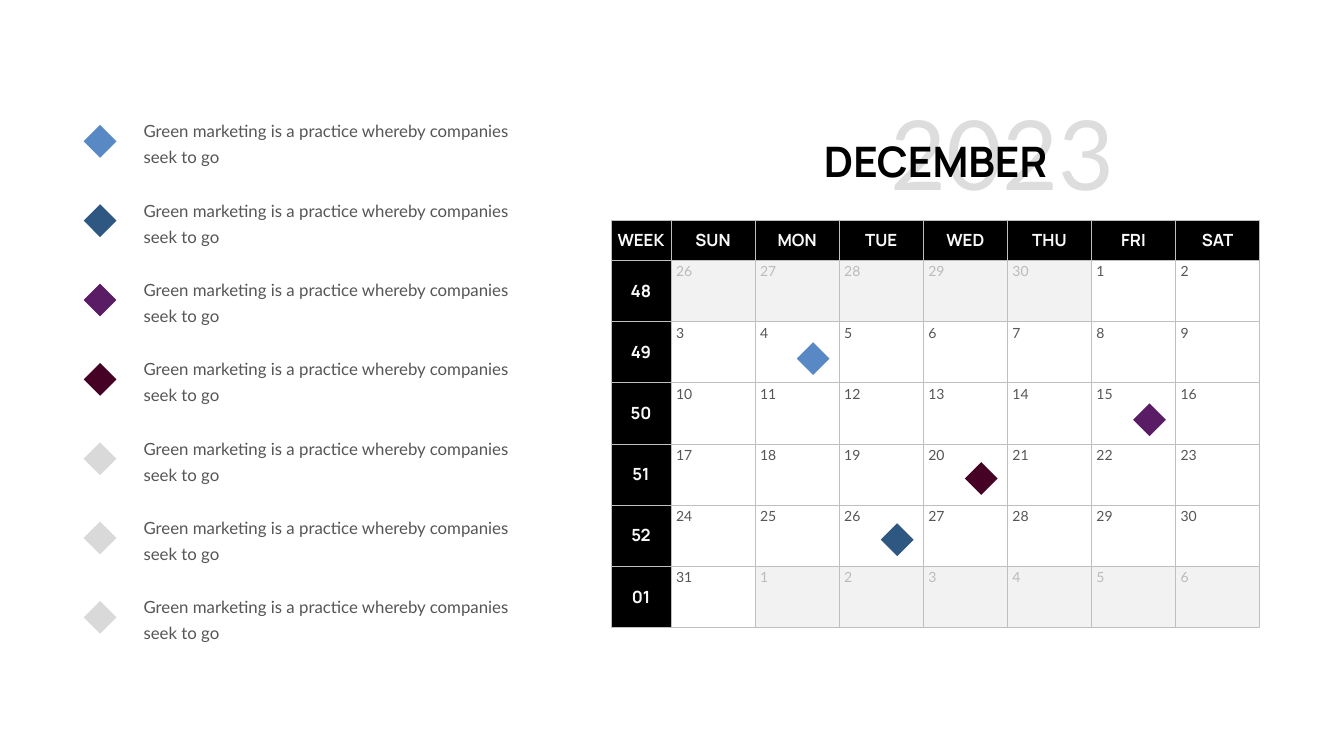
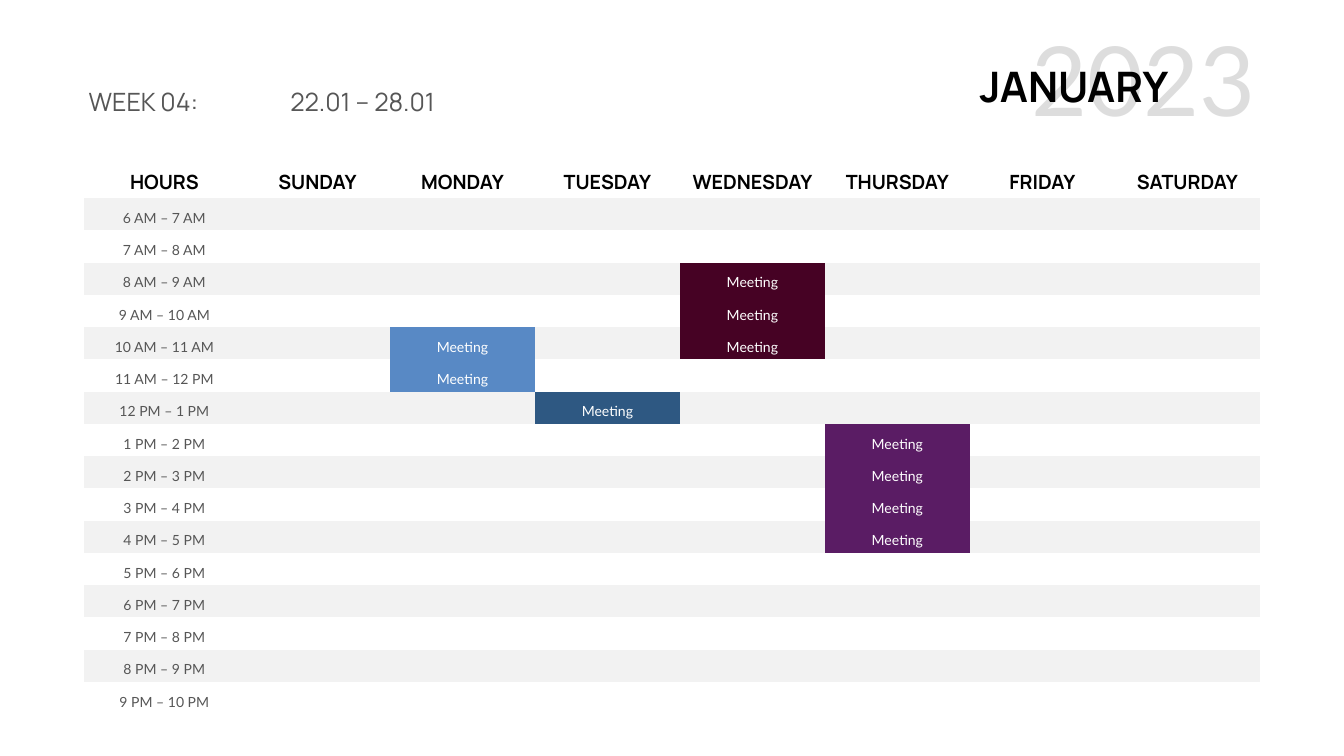
import dataclasses
import typing

import lxml.etree
import pptx
import pptx.dml.color
import pptx.enum.shapes
import pptx.enum.text
import pptx.oxml.ns
import pptx.util

Pt = pptx.util.Pt
Align = pptx.enum.text.PP_ALIGN
Anchor = pptx.enum.text.MSO_ANCHOR
qn = pptx.oxml.ns.qn

BLACK, WHITE, PALE = "000000", "FFFFFF", "F9F9F9"
GREY, FADED, BAND, RULE, SPARE = "565656", "BBBBBB", "F2F2F2", "BFBFBF", "D9D9D9"
BLUE, NAVY, PLUM, WINE = "5889C5", "2E5882", "5A1C64", "460224"
NO_STYLE = "{2D5ABB26-0587-4C30-8999-92F81FD0307C}"
LEFT, SIDE = 119.5, 46.8
LEADING = 37


@dataclasses.dataclass(frozen=True)
class Style:
    size: float
    color: str
    face: str = "Lato"
    bold: bool = False
    align: Align = Align.LEFT
    leading: float | None = None


@dataclasses.dataclass(frozen=True)
class Box:
    x: float
    y: float
    w: float
    h: float

    def points(self) -> tuple:
        return tuple(Pt(v) for v in (self.x, self.y, self.w, self.h))


@dataclasses.dataclass(frozen=True)
class Mark:
    col: int
    row: int
    drop: float
    color: str


@dataclasses.dataclass(frozen=True)
class Event:
    col: int
    row: int
    span: int
    color: str


YEAR = Style(138, GREY)
MONTH = Style(60, BLACK, "Manrope", True, Align.CENTER)
WEEK = Style(36, GREY, "Manrope")
LEGEND = Style(24, GREY, leading=LEADING)
HEAD = Style(24, PALE, "Manrope", True, Align.CENTER)
DAY = Style(20, GREY)
HOUR = Style(20, GREY, align=Align.CENTER, leading=LEADING)
COLUMN = Style(28, BLACK, "Manrope", True, Align.CENTER)

KEYS = [BLUE, NAVY, PLUM, WINE, SPARE, SPARE, SPARE]
MARKS = [
    Mark(2, 2, 29.4, BLUE),
    Mark(3, 5, 26, NAVY),
    Mark(6, 3, 29.4, PLUM),
    Mark(4, 4, 26, WINE),
]
EVENTS = [
    Event(2, 5, 2, BLUE),
    Event(3, 7, 1, NAVY),
    Event(4, 3, 3, WINE),
    Event(5, 8, 4, PLUM),
]


def rgb(color: str) -> pptx.dml.color.RGBColor:
    return pptx.dml.color.RGBColor.from_string(color)


def write(frame: typing.Any, text: str, style: Style) -> None:
    par = frame.paragraphs[0]
    par.text = text
    par.alignment = style.align
    if style.leading:
        par.line_spacing = Pt(style.leading)
    font = par.font
    font.size, font.name, font.bold = Pt(style.size), style.face, style.bold
    font.color.rgb = rgb(style.color)


def label(shapes: typing.Any, box: Box, text: str, style: Style,
          wrap: bool = False, anchor: Anchor = Anchor.TOP) -> typing.Any:
    frame = shapes.add_textbox(*box.points()).text_frame
    frame.word_wrap = wrap
    frame.auto_size = pptx.enum.text.MSO_AUTO_SIZE.SHAPE_TO_FIT_TEXT
    frame.vertical_anchor = anchor
    write(frame, text, style)
    return frame.paragraphs[0]


def diamond(shapes: typing.Any, x: float, y: float, color: str) -> None:
    kind = pptx.enum.shapes.MSO_SHAPE.DIAMOND
    shape = shapes.add_shape(kind, *Box(x, y, SIDE, SIDE).points())
    shape.shadow.inherit = False
    shape.fill.solid()
    shape.fill.fore_color.rgb = rgb(color)
    shape.line.fill.background()


def title(slide: typing.Any, month: str, box: Box, year: Box, align: Align) -> None:
    """Draw the month name over the large, see-through year."""
    par = label(slide.shapes, year, "2023", dataclasses.replace(YEAR, align=align))
    for tint in par._p.iter(qn("a:srgbClr")):
        lxml.etree.SubElement(tint, qn("a:alpha"), val="20000")
    label(slide.shapes, box, month, MONTH)


def grid(slide: typing.Any, box: Box, rows: int, first: float, top: float) -> typing.Any:
    """Add an unstyled table of 8 columns; first and top size its leading column and row."""
    table = slide.shapes.add_table(rows, 8, *box.points()).table
    table.first_row = table.horz_banding = False
    next(table._tbl.iter(qn("a:tableStyleId"))).text = NO_STYLE
    for i, col in enumerate(table.columns):
        col.width = Pt((box.w - first) / 7 if i else first)
    for i, row in enumerate(table.rows):
        row.height = Pt((box.h - top) / (rows - 1) if i else top)
    return table


def fill(cell: typing.Any, color: str) -> None:
    cell.fill.solid()
    cell.fill.fore_color.rgb = rgb(color)


def border(cell: typing.Any) -> None:
    props = cell._tc.get_or_add_tcPr()
    for i, side in enumerate(("lnL", "lnR", "lnT", "lnB")):
        line = lxml.etree.Element(qn(f"a:{side}"), w=str(Pt(1)))
        paint = lxml.etree.SubElement(line, qn("a:solidFill"))
        lxml.etree.SubElement(paint, qn("a:srgbClr"), val=RULE)
        props.insert(i, line)


def date(place: int) -> tuple[int, bool]:
    """Give the day at a place in the grid, and whether it is in December."""
    day = place - 4
    if day < 1:
        return day + 30, False
    return (day, True) if day <= 31 else (day - 31, False)


def calendar(slide: typing.Any) -> None:
    box, first, top = Box(872.6, 314.6, 926.6, 581.6), 85.7, 57.6
    wide, high = (box.w - first) / 7, (box.h - top) / 6
    table = grid(slide, box, 7, first, top)
    heads = ["WEEK", "SUN", "MON", "TUE", "WED", "THU", "FRI", "SAT"]
    weeks = ["48", "49", "50", "51", "52", "01"]
    for r in range(7):
        for c in range(8):
            cell = table.cell(r, c)
            if r == 0 or c == 0:
                write(cell.text_frame, weeks[r - 1] if r else heads[c], HEAD)
                cell.vertical_anchor = Anchor.MIDDLE
                fill(cell, BLACK)
            else:
                day, inside = date((r - 1) * 7 + c - 1)
                style = dataclasses.replace(DAY, color=GREY if inside else FADED)
                write(cell.text_frame, str(day), style)
                fill(cell, WHITE if inside else BAND)
            border(cell)
    title(slide, "DECEMBER", Box(1167.1, 189.4, 338.4, 79.9),
          Box(1264.3, 130.3, 337.7, 174.2), Align.LEFT)
    for mark in MARKS:
        x = box.x + first + (mark.col - 1) * wide + 59.5
        y = box.y + top + (mark.row - 1) * high + mark.drop
        diamond(slide.shapes, x, y, mark.color)


def legend(slide: typing.Any) -> None:
    shapes = slide.shapes.add_group_shape().shapes
    for i, color in enumerate(KEYS):
        y = 162.9 + i * 113.35
        diamond(shapes, LEFT, y + 15.6, color)
        label(shapes, Box(198, y, 537.1, 77.8),
              "Green marketing is a practice whereby companies seek to go",
              LEGEND, True, Anchor.MIDDLE)


def clock(hour: int) -> str:
    return f"{(hour - 1) % 12 + 1} {'AM' if hour < 12 else 'PM'}"


def planner(slide: typing.Any) -> None:
    table = grid(slide, Box(LEFT, 236.2, 1679.8, 784.1), 17, 230.4, 46.8)
    heads = ["HOURS", "SUNDAY", "MONDAY", "TUESDAY", "WEDNESDAY",
             "THURSDAY", "FRIDAY", "SATURDAY"]
    for c, head in enumerate(heads):
        cell = table.cell(0, c)
        write(cell.text_frame, head, COLUMN)
        cell.vertical_anchor = Anchor.BOTTOM
    for r in range(1, 17):
        write(table.cell(r, 0).text_frame, f"{clock(r + 5)} – {clock(r + 6)}", HOUR)
        if r % 2:
            for c in range(8):
                fill(table.cell(r, c), BAND)
    for event in EVENTS:
        for r in range(event.row, event.row + event.span):
            cell = table.cell(r, event.col)
            write(cell.text_frame, "Meeting", dataclasses.replace(HOUR, color=WHITE))
            fill(cell, event.color)
    title(slide, "JANUARY", Box(1380.2, 83.5, 307.4, 79.9),
          Box(1462.3, 24.5, 337.7, 174.2), Align.RIGHT)


def week(slide: typing.Any) -> None:
    par = label(slide.shapes, Box(LEFT, 118.8, 522.7, 51.1), "", WEEK,
                anchor=Anchor.MIDDLE)
    props = par._p.get_or_add_pPr()
    tabs = lxml.etree.Element(qn("a:tabLst"))
    lxml.etree.SubElement(tabs, qn("a:tab"), pos=str(Pt(288)), algn="l")
    props.insert(0, tabs)
    par.text = "WEEK 04: \t22.01 – 28.01"


def main() -> None:
    deck = pptx.Presentation()
    deck.slide_width, deck.slide_height = Pt(1919.5), Pt(1080)
    blank = deck.slide_layouts[6]
    first = deck.slides.add_slide(blank)
    calendar(first)
    legend(first)
    second = deck.slides.add_slide(blank)
    planner(second)
    week(second)
    deck.save("out.pptx")


if __name__ == "__main__":
    main()
